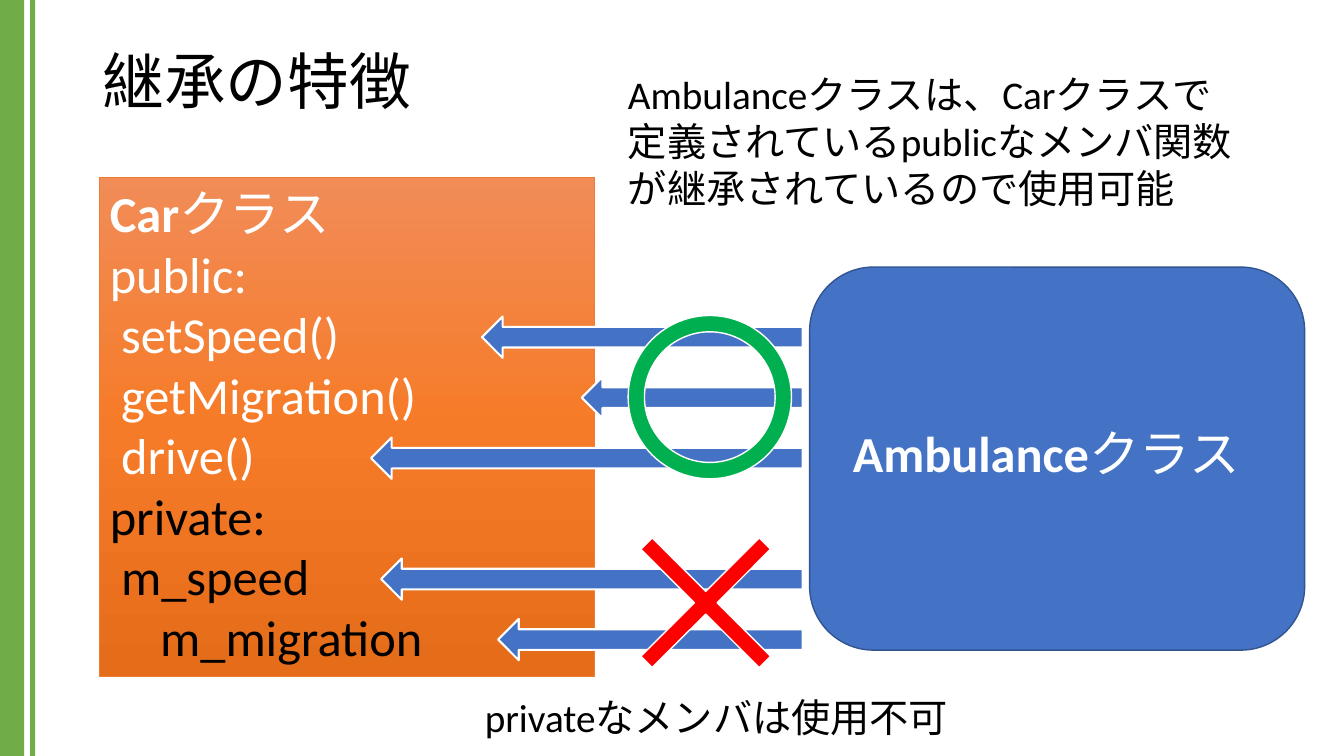
"""Slide on inheritance: which Car members the Ambulance class may use."""
from copy import deepcopy

from pptx import Presentation
from pptx.dml.color import RGBColor
from pptx.enum.shapes import MSO_SHAPE
from pptx.enum.text import MSO_ANCHOR
from pptx.util import Inches, Pt

RECT, ROUNDED = MSO_SHAPE.RECTANGLE, MSO_SHAPE.ROUNDED_RECTANGLE
ARROW, RING, CROSS = MSO_SHAPE.LEFT_ARROW, MSO_SHAPE.DONUT, MSO_SHAPE.MATH_MULTIPLY
TOP, MIDDLE = MSO_ANCHOR.TOP, MSO_ANCHOR.MIDDLE

FONT = "Calibri"
WHITE, BLACK, GREEN, BLUE = "FFFFFF", "000000", "70AD47", "4472C4"

TITLE = [["継承の特徴"]]
PUBLIC_NOTE = [
    ["Ambulanceクラスは、Carクラスで"],
    ["定義されているpublicなメンバ関数"],
    ["が継承されているので使用可能"],
]
PRIVATE_NOTE = [["privateなメンバは使用不可"]]
AMBULANCE = [["Ambulance", "クラス"]]
CAR = [
    ["Car", "クラス"],
    ["public:"],
    [" setSpeed()"],
    [" getMigration()"],
    [" drive()"],
    ["private:"],
    [" m_speed"],
    [" m_migration".replace(" ", "　")],
]
PRIVATE_FROM = 5
CAR_GRADIENT = [(0, "F18C57"), (0.5, "F67B28"), (1, "E56C19")]

SLIDE_W, SLIDE_H = 13.33, 7.5
STRIPES = [(0, 0.24), (0.3, 0.05)]
ARROW_TIPS = {2: 4.78, 3: 5.77, 4: 3.68, 6: 3.78, 7: 4.94}
ARROW_TAIL, ARROW_H = 7.96, 0.41
FIRST_ROW, ROW_H = 1.94, 0.6


def color(value):
    return RGBColor.from_string(value)


def add_block(kind, box, fill, line=None, width=1, adjust=None):
    block = slide.shapes.add_shape(kind, *map(Inches, box))
    block.shadow.inherit = False
    block.fill.solid()
    block.fill.fore_color.rgb = color(fill)
    if line:
        block.line.color.rgb = color(line)
        block.line.width = Pt(width)
    else:
        block.line.fill.background()
    if adjust:
        block.adjustments[0] = adjust
    return block


def paint_gradient(block, stops):
    block.fill.gradient()
    block.fill.gradient_angle = 270
    first = block.fill._xPr.gradFill.gsLst[0]
    first.addnext(deepcopy(first))
    for stop, (position, value) in zip(block.fill.gradient_stops, stops):
        stop.position = position
        stop.color.rgb = color(value)


def write(box, lines, size, ink=BLACK, anchor=TOP, spacing=1.0):
    frame = slide.shapes.add_textbox(*map(Inches, box)).text_frame
    frame.word_wrap = True
    frame.vertical_anchor = anchor
    for number, parts in enumerate(lines):
        paragraph = frame.add_paragraph() if number else frame.paragraphs[0]
        paragraph.line_spacing = spacing
        for part in parts:
            run = paragraph.add_run()
            run.text = part
            run.font.name = FONT
            run.font.size = Pt(size)
            run.font.bold = len(parts) > 1 and part == parts[0]
            private = lines is CAR and number >= PRIVATE_FROM
            run.font.color.rgb = color(BLACK if private else ink)


deck = Presentation()
deck.slide_width, deck.slide_height = Inches(SLIDE_W), Inches(SLIDE_H)
slide = deck.slides.add_slide(deck.slide_layouts[6])

for left, width in STRIPES:
    add_block(RECT, (left, 0, width, SLIDE_H), GREEN)
write((0.92, 0.4, 11.5, 0.87), TITLE, 44, anchor=MIDDLE, spacing=0.9)

car_box = (0.99, 1.76, 4.91, 4.95)
paint_gradient(add_block(RECT, car_box, "F67B28", "ED7D31", 0.5), CAR_GRADIENT)
write(car_box, CAR, 36, WHITE)

add_block(ROUNDED, (8.03, 2.65, 4.91, 3.8), BLUE, "325491")
write((8.36, 4.14, 4.52, 0.71), AMBULANCE, 36, WHITE)

for row, tip in ARROW_TIPS.items():
    top = FIRST_ROW + row * ROW_H
    add_block(ARROW, (tip, top, ARROW_TAIL - tip, ARROW_H), BLUE, WHITE, 1.5)

add_block(RING, (6.23, 3.13, 1.62, 1.62), "00B050", WHITE, adjust=0.1)
add_block(CROSS, (5.87, 4.85, 2.26, 2.26), "FF0000", WHITE, adjust=0.07)
write((6.13, 0.65, 6.65, 1.51), PUBLIC_NOTE, 28)
write((4.71, 6.83, 5.36, 0.57), PRIVATE_NOTE, 28)

deck.save("out.pptx")
